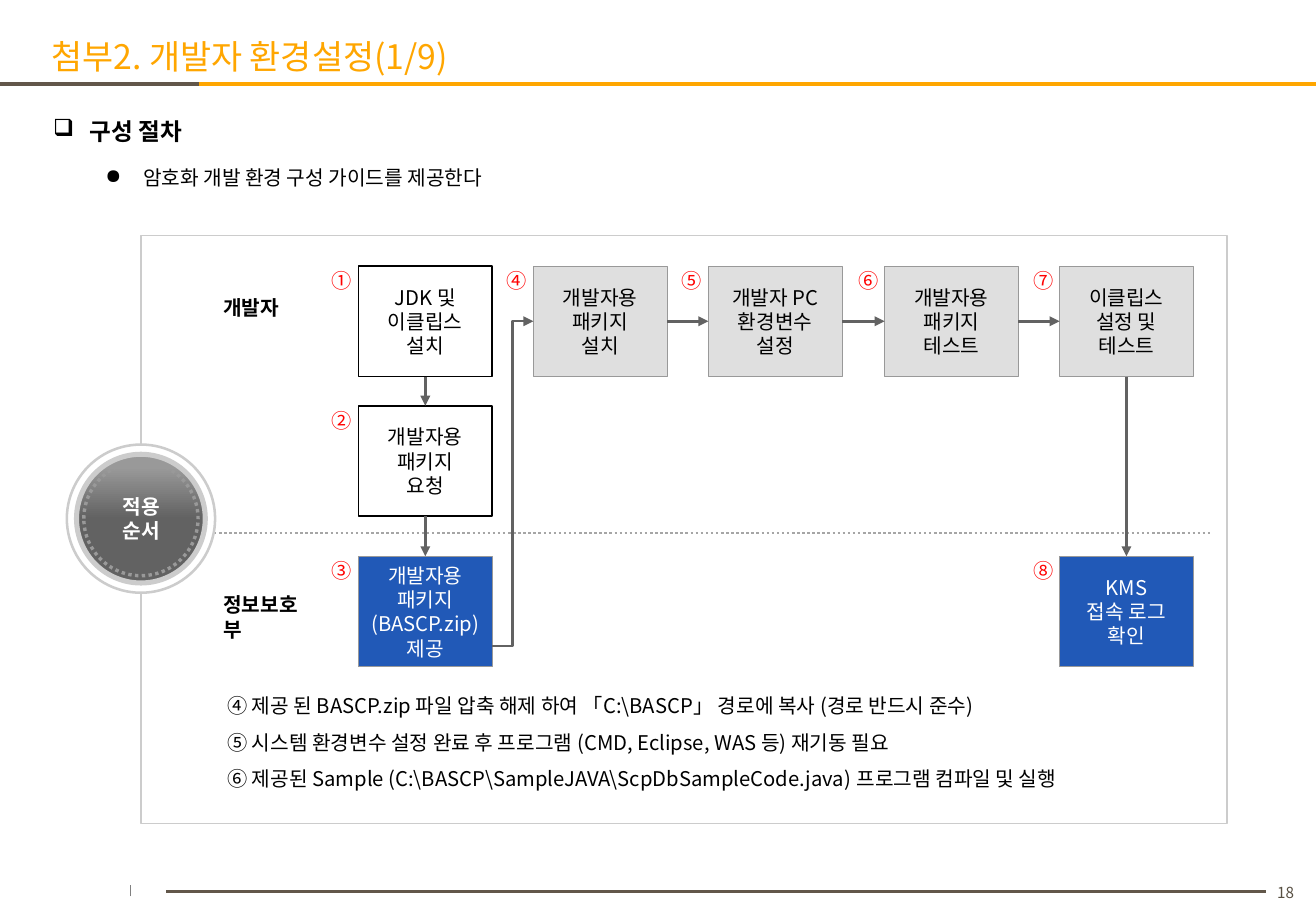
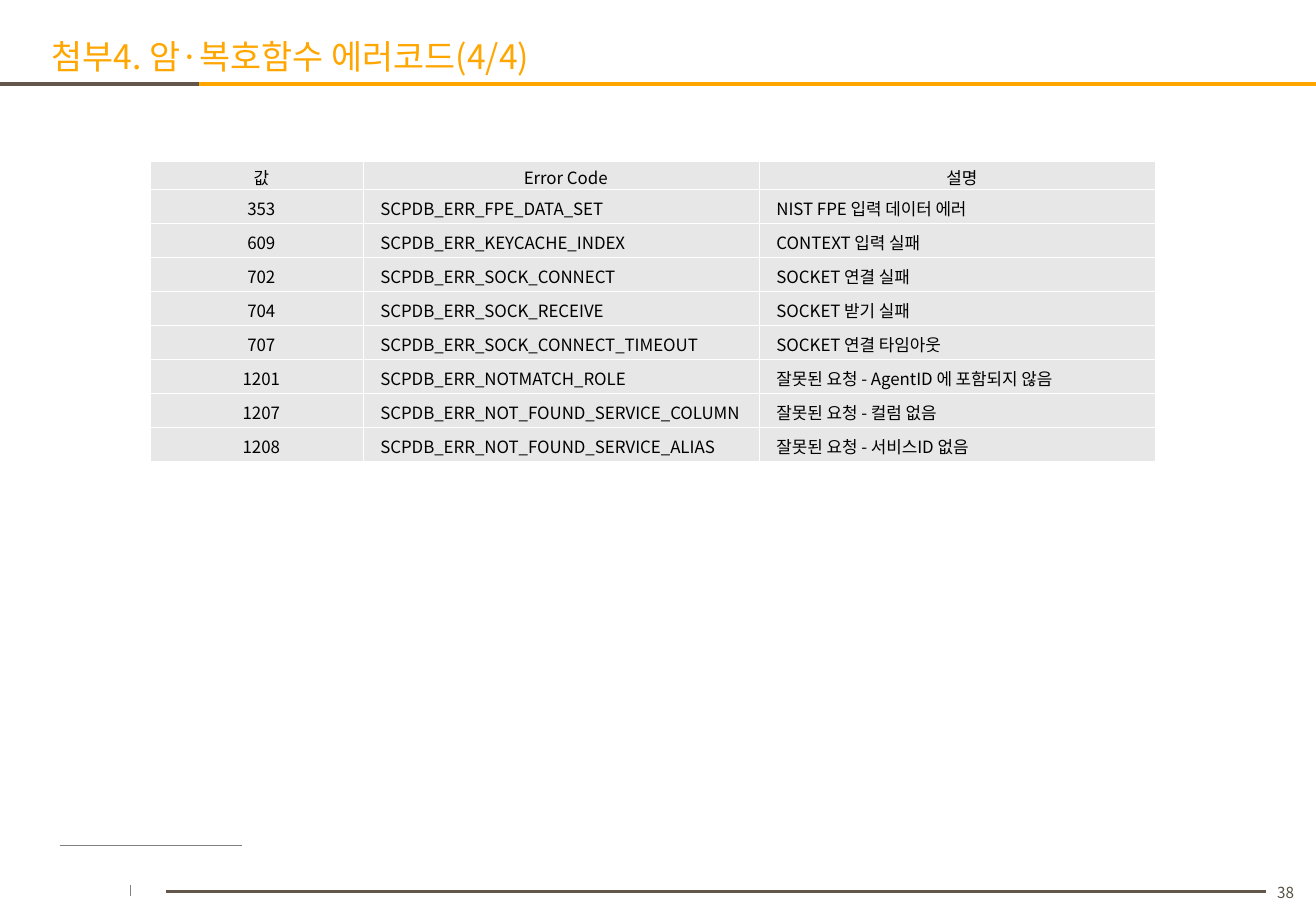
"""Builds two guide slides: the developer setup flow and the error code table."""
from dataclasses import dataclass
from typing import NamedTuple, Optional

from pptx import Presentation
from pptx import util as u
from pptx.dml.color import RGBColor
from pptx.enum import dml, shapes, text
from pptx.oxml.ns import qn
from lxml import etree

Inches, Pt = u.Inches, u.Pt


@dataclass(frozen=True)
class Theme:
    """Colours, type sizes and font shared by the slides."""
    font: str = "Noto Sans CJK KR"
    orange: str = "FFA600"
    brown: str = "62574A"
    page_brown: str = "585043"
    black: str = "000000"
    white: str = "FFFFFF"
    red: str = "FF0000"
    blue: str = "2159B7"
    box_gray: str = "DFDFDF"
    cell_gray: str = "E7E7E7"
    panel_gray: str = "CCCCCC"
    dot_gray: str = "A6A6A6"
    edge_gray: str = "999999"
    rule_gray: str = "808080"
    arrow_gray: str = "626262"
    title_size: float = 20
    heading_size: float = 14
    body_size: float = 12
    table_size: float = 10
    page_size: float = 9


THEME = Theme()
LEFT, CENTER = text.PP_ALIGN.LEFT, text.PP_ALIGN.CENTER
TOP, MIDDLE, BOTTOM = text.MSO_ANCHOR.TOP, text.MSO_ANCHOR.MIDDLE, text.MSO_ANCHOR.BOTTOM


class Area(NamedTuple):
    """Left, top, width and height in inches."""
    left: float
    top: float
    width: float
    height: float

    def lengths(self) -> list:
        """Gives the four values as lengths."""
        return [Inches(value) for value in self]


class BoxStyle(NamedTuple):
    """Fill, outline and text colour of a step box."""
    fill: str
    line: str
    line_width: float
    color: str


class Step(NamedTuple):
    """A numbered box at a column and row of the flow."""
    number: str
    column: int
    row: int
    label: str
    style: BoxStyle


class Link(NamedTuple):
    """An arrow between two points."""
    start: tuple
    end: tuple
    kind: shapes.MSO_CONNECTOR = shapes.MSO_CONNECTOR.STRAIGHT


PLAIN = BoxStyle(THEME.white, THEME.black, 1, THEME.black)
GRAY = BoxStyle(THEME.box_gray, THEME.edge_gray, 0.5, THEME.black)
BLUE = BoxStyle(THEME.blue, THEME.edge_gray, 0.5, THEME.white)

BOX_WIDTH, BOX_HEIGHT = 1.1, 0.91
COLUMNS = [round(2.95 + 1.4425 * index, 2) for index in range(5)]
ROWS = [2.19, 3.34, 4.58]

STEPS = [
    Step("①", 0, 0, "JDK 및\n이클립스\n설치", PLAIN),
    Step("②", 0, 1, "개발자용\n패키지\n요청", PLAIN),
    Step("③", 0, 2, "개발자용 패키지\n(BASCP.zip)\n제공", BLUE),
    Step("④", 1, 0, "개발자용\n패키지\n설치", GRAY),
    Step("⑤", 2, 0, "개발자 PC\n환경변수\n설정", GRAY),
    Step("⑥", 3, 0, "개발자용\n패키지\n테스트", GRAY),
    Step("⑦", 4, 0, "이클립스\n설정 및\n테스트", GRAY),
    Step("⑧", 4, 2, "KMS\n접속 로그\n확인", BLUE),
]

NOTES = [
    "④ 제공 된 BASCP.zip 파일 압축 해제 하여 「C:\\BASCP」 경로에 복사 (경로 반드시 준수)",
    "⑤ 시스템 환경변수 설정 완료 후 프로그램 (CMD, Eclipse, WAS 등) 재기동 필요",
    "⑥ 제공된 Sample (C:\\BASCP\\SampleJAVA\\ScpDbSampleCode.java) 프로그램 컴파일 및 실행",
]

ERROR_ROWS = [
    ("값", "Error Code", "설명"),
    ("353", "SCPDB_ERR_FPE_DATA_SET", "NIST FPE 입력 데이터 에러"),
    ("609", "SCPDB_ERR_KEYCACHE_INDEX", "CONTEXT 입력 실패"),
    ("702", "SCPDB_ERR_SOCK_CONNECT", "SOCKET 연결 실패"),
    ("704", "SCPDB_ERR_SOCK_RECEIVE", "SOCKET 받기 실패"),
    ("707", "SCPDB_ERR_SOCK_CONNECT_TIMEOUT", "SOCKET 연결 타임아웃"),
    ("1201", "SCPDB_ERR_NOTMATCH_ROLE", "잘못된 요청 - AgentID 에 포함되지 않음"),
    ("1207", "SCPDB_ERR_NOT_FOUND_SERVICE_COLUMN", "잘못된 요청 - 컬럼 없음"),
    ("1208", "SCPDB_ERR_NOT_FOUND_SERVICE_ALIAS", "잘못된 요청 - 서비스ID 없음"),
]


def rgb(color: str) -> RGBColor:
    """Turns a hex string into a colour."""
    return RGBColor.from_string(color)


def write_text(frame, content: str, *, size: float = THEME.body_size, color: str = THEME.black,
               bold: bool = False, align=LEFT, spacing: Optional[float] = None, after: float = 0,
               margin: float = 0, hanging: float = 0, bullet: str = "") -> None:
    """Writes one paragraph per line of content with the given format."""
    for index, line in enumerate(content.split("\n")):
        paragraph = frame.add_paragraph() if index else frame.paragraphs[0]
        paragraph.alignment = align
        if spacing:
            paragraph.line_spacing = spacing
        if after:
            paragraph.space_after = Pt(after)
        properties = paragraph._p.get_or_add_pPr()
        if margin:
            properties.set("marL", str(Inches(margin)))
            properties.set("indent", str(-Inches(hanging)))
        if bullet:
            etree.SubElement(properties, qn("a:buChar")).set("char", bullet)
        run = paragraph.add_run()
        run.text = line
        run.font.size = Pt(size)
        run.font.bold = bold
        run.font.color.rgb = rgb(color)
        run.font.name = THEME.font
        east_asian = etree.Element(qn("a:ea"), typeface=THEME.font)
        run._r.rPr.find(qn("a:latin")).addnext(east_asian)


def set_frame(frame, insets: tuple = (0.1, 0.05), anchor=TOP, wrap: bool = True) -> None:
    """Sets the insets, anchor and wrapping of a text frame."""
    frame.auto_size = text.MSO_AUTO_SIZE.NONE
    frame.word_wrap = wrap
    frame.vertical_anchor = anchor
    frame.margin_left = frame.margin_right = Inches(insets[0])
    frame.margin_top = frame.margin_bottom = Inches(insets[1])


def add_text(slide, area: Area, content: str, insets: tuple = (0.1, 0.05),
             wrap: bool = True, **style) -> None:
    """Adds a text box."""
    frame = slide.shapes.add_textbox(*area.lengths()).text_frame
    set_frame(frame, insets, wrap=wrap)
    write_text(frame, content, **style)


def add_shape(slide, area: Area, kind=shapes.MSO_SHAPE.RECTANGLE, fill: str = "",
              line: str = "", line_width: float = 1):
    """Adds a shape without shadow, with optional fill and outline."""
    shape = slide.shapes.add_shape(kind, *area.lengths())
    shape.shadow.inherit = False
    if fill:
        shape.fill.solid()
        shape.fill.fore_color.rgb = rgb(fill)
    else:
        shape.fill.background()
    if line:
        shape.line.color.rgb = rgb(line)
        shape.line.width = Pt(line_width)
    else:
        shape.line.fill.background()
    return shape


def add_line(slide, link: Link, color: str, width: float, arrow: bool = False,
             dotted: bool = False) -> None:
    """Adds a connector, optionally dotted or with an arrowhead at its end."""
    points = [Inches(value) for value in (*link.start, *link.end)]
    connector = slide.shapes.add_connector(link.kind, *points)
    connector.line.color.rgb = rgb(color)
    connector.line.width = Pt(width)
    if dotted:
        connector.line.dash_style = dml.MSO_LINE.ROUND_DOT
    if arrow:
        etree.SubElement(connector.line._get_or_add_ln(), qn("a:tailEnd")).set("type", "triangle")
    etree.SubElement(connector._element.spPr, qn("a:effectLst"))


def add_slide(presentation, title: str, page: str):
    """Adds a title-only slide with the shared bands and footer."""
    slide = presentation.slides.add_slide(presentation.slide_layouts[5])
    add_line(slide, Link((1.64, 0.69), (10.83, 0.69)), THEME.orange, 2.25)
    add_line(slide, Link((0, 0.69), (1.64, 0.69)), THEME.brown, 2.25)
    add_line(slide, Link((1.37, 7.34), (10.42, 7.34)), THEME.brown, 1.5)
    add_line(slide, Link((1.07, 7.38), (1.07, 7.29)), THEME.rule_gray, 0.5)
    number = add_shape(slide, Area(10.43, 7.27, 0.3, 0.15), fill=THEME.white)
    set_frame(number.text_frame, (0, 0), BOTTOM, wrap=False)
    write_text(number.text_frame, page, size=THEME.page_size, color=THEME.page_brown, align=CENTER)
    heading = slide.shapes.title
    heading.left, heading.top, heading.width, heading.height = Area(0.42, 0.33, 7.44, 0.31).lengths()
    set_frame(heading.text_frame, (0, 0))
    write_text(heading.text_frame, title, size=THEME.title_size, color=THEME.orange, spacing=0.9)
    return slide


def add_step(slide, step: Step) -> None:
    """Adds a step box and its number."""
    left, top = COLUMNS[step.column], ROWS[step.row]
    style = step.style
    box = add_shape(slide, Area(left, top, BOX_WIDTH, BOX_HEIGHT), fill=style.fill,
                    line=style.line, line_width=style.line_width)
    set_frame(box.text_frame, anchor=MIDDLE)
    write_text(box.text_frame, step.label, color=style.color, align=CENTER)
    add_text(slide, Area(left - 0.24, top, 0.21, 0.24), step.number, (0.08, 0.04), wrap=False,
             color=THEME.red, align=CENTER, spacing=0.9)


def add_badge(slide) -> None:
    """Adds the round badge on the left edge of the panel."""
    oval = shapes.MSO_SHAPE.OVAL
    add_shape(slide, Area(0.55, 3.66, 1.22, 1.22), oval, THEME.white, THEME.panel_gray, 1.5)
    disc = add_shape(slide, Area(0.63, 3.74, 1.06, 1.06), oval, line=THEME.panel_gray, line_width=3)
    disc.fill.gradient()
    disc.fill.gradient_angle = 90
    stops = [(0.5, THEME.arrow_gray), (0.9, THEME.edge_gray)]
    for stop, (position, color) in zip(disc.fill.gradient_stops, stops):
        stop.position = position
        stop.color.rgb = rgb(color)
    ring = add_shape(slide, Area(0.69, 3.8, 0.94, 0.94), oval, line=THEME.edge_gray, line_width=2)
    ring.line.dash_style = dml.MSO_LINE.ROUND_DOT
    add_text(slide, Area(0.72, 4.07, 0.89, 0.4), "적용\n순서", (0, 0), color=THEME.white,
             bold=True, align=CENTER)


def build_setup_slide(presentation) -> None:
    """Builds the setup flow slide."""
    slide = add_slide(presentation, "첨부2. 개발자 환경설정(1/9)", "18")
    add_text(slide, Area(0.34, 0.84, 10, 0.38), "구성 절차", size=THEME.heading_size, bold=True,
             spacing=1.3, margin=0.3, hanging=0.3, bullet="❑")
    add_text(slide, Area(0.77, 1.25, 9.57, 0.36), "암호화 개발 환경 구성 가이드를 제공한다",
             spacing=1.3, margin=0.31, hanging=0.31, bullet="●")
    add_shape(slide, Area(1.16, 1.94, 8.94, 4.84), line=THEME.panel_gray)
    add_line(slide, Link((1.51, 4.39), (9.98, 4.39)), THEME.dot_gray, 1.5, dotted=True)
    add_text(slide, Area(1.74, 2.38, 1.16, 0.3), "개발자", bold=True)
    add_text(slide, Area(1.74, 4.83, 0.94, 0.3), "정보보호부", bold=True)
    for step in STEPS:
        add_step(slide, step)
    first, last = (COLUMNS[index] + BOX_WIDTH / 2 for index in (0, -1))
    middle = ROWS[0] + BOX_HEIGHT / 2
    links = [Link((left + BOX_WIDTH, middle), (right, middle))
             for left, right in zip(COLUMNS[1:], COLUMNS[2:])]
    links += [Link((first, top + BOX_HEIGHT), (first, below)) for top, below in zip(ROWS, ROWS[1:])]
    links += [Link((last, ROWS[0] + BOX_HEIGHT), (last, ROWS[2])),
              Link((COLUMNS[0] + BOX_WIDTH, 5.32), (COLUMNS[1], middle), shapes.MSO_CONNECTOR.ELBOW)]
    for link in links:
        add_line(slide, link, THEME.arrow_gray, 1.5, arrow=True)
    for index, note in enumerate(NOTES):
        add_text(slide, Area(1.87, 5.61 + 0.3 * index, 7.42, 0.3), note, (0, 0), spacing=1.5)
    add_badge(slide)


def format_cell(cell, content: str, align) -> None:
    """Writes a cell and sets its borders and fill."""
    cell.margin_left = cell.margin_right = Inches(0.07)
    cell.margin_top = cell.margin_bottom = 0
    cell.vertical_anchor = MIDDLE
    properties = cell._tc.get_or_add_tcPr()
    for side in ("lnL", "lnR", "lnT", "lnB"):
        border = etree.SubElement(properties, qn(f"a:{side}"), w=str(Pt(1)))
        solid = etree.SubElement(border, qn("a:solidFill"))
        etree.SubElement(solid, qn("a:srgbClr")).set("val", THEME.white)
    cell.fill.solid()
    cell.fill.fore_color.rgb = rgb(THEME.cell_gray)
    write_text(cell.text_frame, content, size=THEME.table_size, align=align, spacing=1.15,
               after=3, margin=0.07)


def build_error_slide(presentation) -> None:
    """Builds the error code slide."""
    slide = add_slide(presentation, "첨부4. 암·복호함수 에러코드(4/4)", "38")
    add_line(slide, Link((0.49, 6.96), (1.99, 6.96)), THEME.rule_gray, 0.5)
    area = Area(1.24, 1.33, 8.27, 2.4)
    frame = slide.shapes.add_table(len(ERROR_ROWS), 3, *area.lengths())
    table = frame.table
    table.first_row = table.horz_banding = False
    for column, width in zip(table.columns, (1.75, 3.26, 3.26)):
        column.width = Inches(width)
    for row_index, values in enumerate(ERROR_ROWS):
        table.rows[row_index].height = Inches(0.28 if row_index else 0)
        for column_index, value in enumerate(values):
            align = LEFT if row_index and column_index else CENTER
            format_cell(table.cell(row_index, column_index), value, align)
    frame.height = Inches(area.height)


def main() -> None:
    """Builds and saves the presentation."""
    presentation = Presentation()
    presentation.slide_width, presentation.slide_height = Inches(10.83), Inches(7.5)
    build_setup_slide(presentation)
    build_error_slide(presentation)
    presentation.save("out.pptx")


if __name__ == "__main__":
    main()
